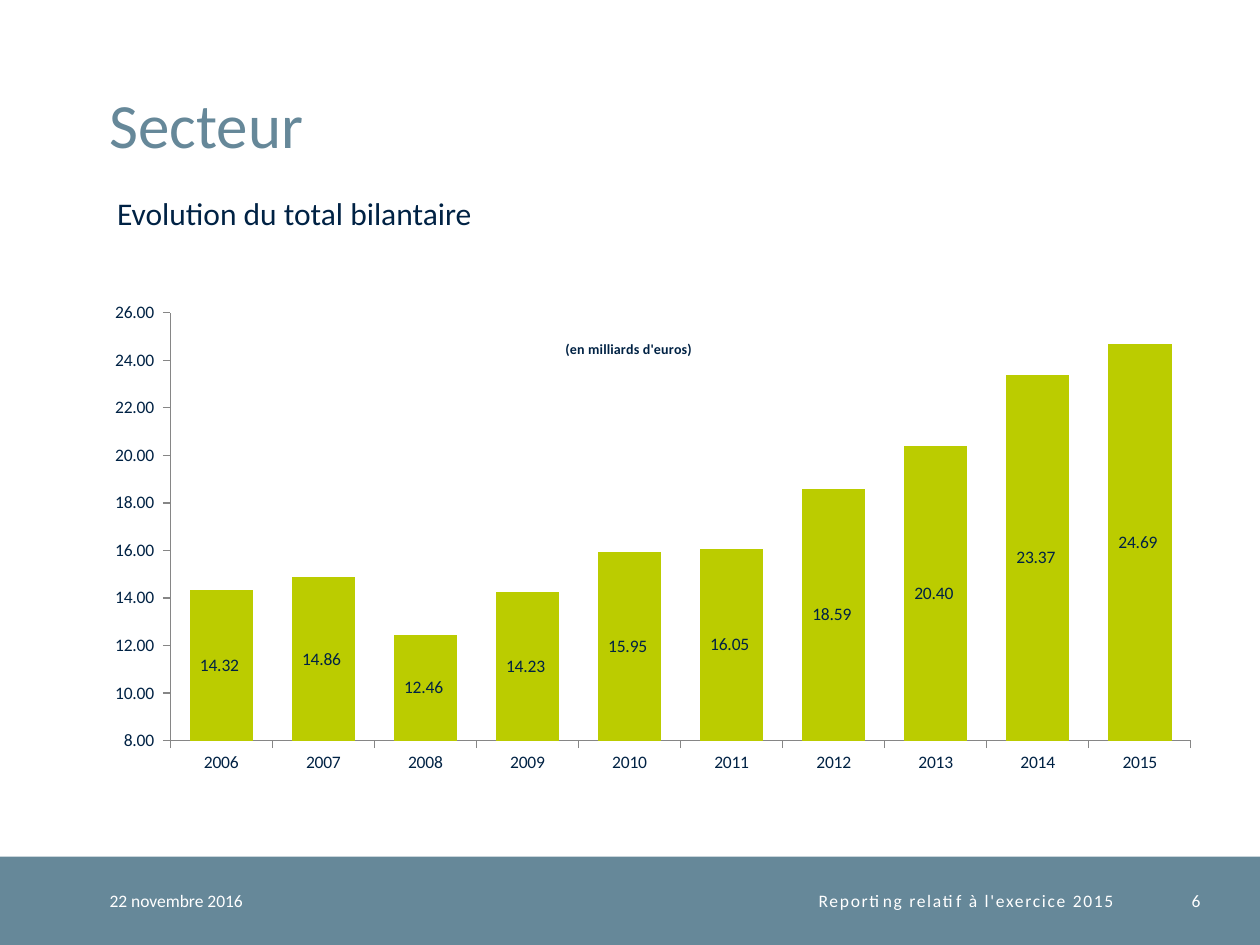
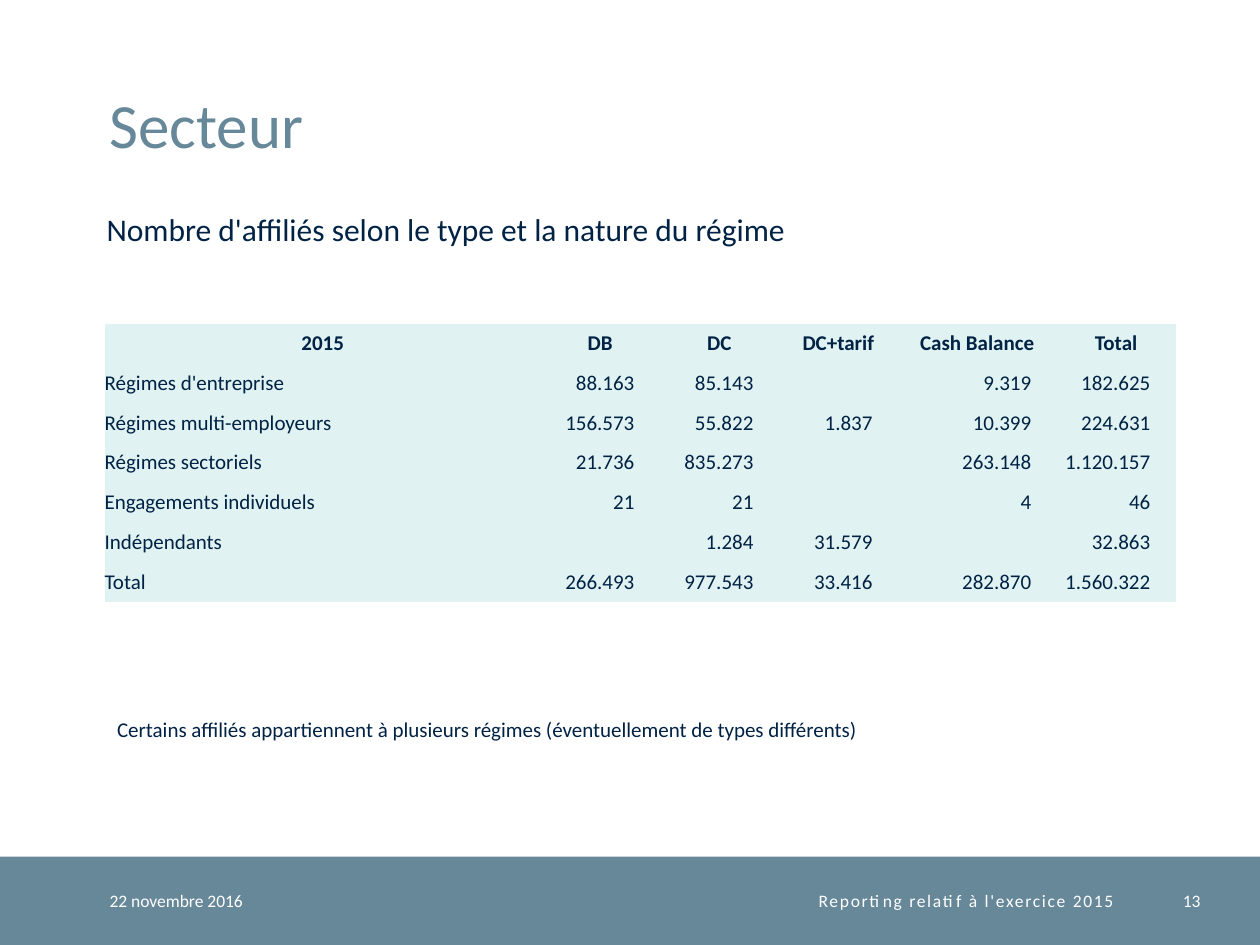
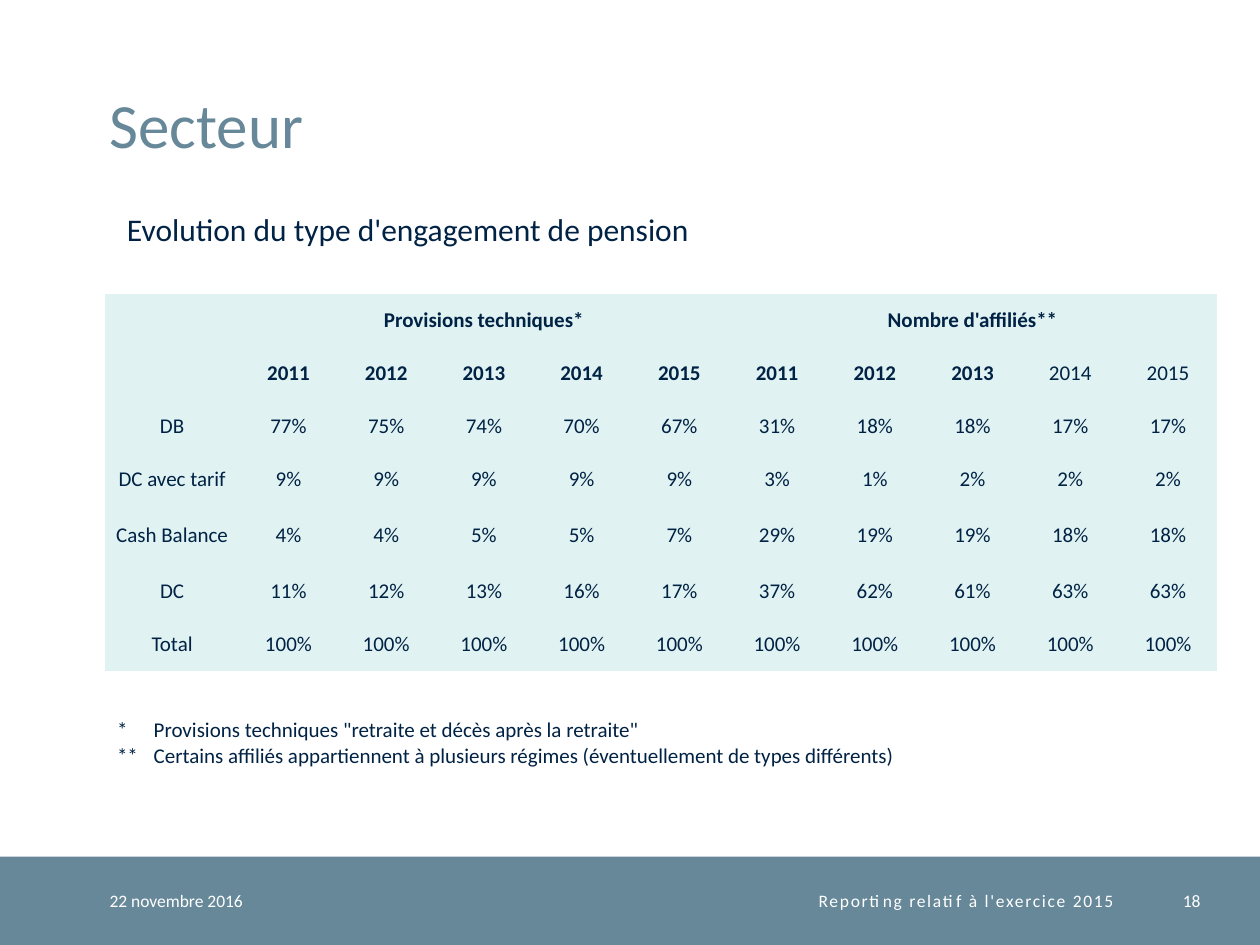
from lxml.etree import SubElement
from pptx import Presentation
from pptx.chart.data import CategoryChartData as ChartData
from pptx.dml.color import RGBColor as Rgb
from pptx.enum.chart import XL_CHART_TYPE as Kind, XL_TICK_MARK as Tick
from pptx.enum.shapes import MSO_SHAPE as Shape
from pptx.enum.text import MSO_ANCHOR as Anchor, PP_ALIGN as Align
from pptx.oxml.ns import qn
from pptx.util import Cm, Pt

FONT = "Calibri"
HUES = {"band": "668899", "ink": "002244", "bar": "BBCC00",
        "cell": "E1F2F2", "axis": "868686", "white": "FFFFFF"}
SIDES = {"l": Align.LEFT, "c": Align.CENTER, "r": Align.RIGHT}
PLAIN = "{2D5ABB26-0587-4C30-8999-92F81FD0307C}"  # table style without lines
WIDE, HIGH = 25.4, 19.05
BAND = (0, 17.27, WIDE, 1.78)
HEAD = (2.21, 0.51, 21.92, 2.74)
NOTE = (2.11, 14.33, 22.2, 0.76)
MANY = "Certains affiliés appartiennent à plusieurs régimes (éventuellement de types différents)"


def hue(name):
    return Rgb.from_string(HUES[name])


def style(font, size, color="ink", bold=False):
    font.name, font.size, font.bold = FONT, Pt(size), bold
    font.color.rgb = hue(color)


# Text
def write(frame, text, size=12, color="ink", bold=False, side="l",
          lead=None, track=0, hang=0):
    """Fill a text frame, one paragraph per line of text."""
    for i, line in enumerate(text.split("\n")):
        par = frame.paragraphs[0] if i == 0 else frame.add_paragraph()
        par.alignment = SIDES[side]
        if lead:
            par.line_spacing = Pt(lead)
        if hang:
            props = par._p.get_or_add_pPr()
            props.set("marL", str(Cm(hang)))
            props.set("indent", str(-Cm(hang)))
        run = par.add_run()
        run.text = line
        style(run.font, size, color, bold)
        if track:
            run._r.get_or_add_rPr().set("spc", str(track * 100))


def label(slide, box, text, pad=True, anchor=Anchor.TOP, **form):
    frame = slide.shapes.add_textbox(*map(Cm, box)).text_frame
    frame.word_wrap = True
    frame.vertical_anchor = anchor
    if not pad:
        frame.margin_left = frame.margin_right = 0
        frame.margin_top = frame.margin_bottom = 0
    write(frame, text, **form)


# Band, footer and title
def footer(slide, box, page):
    x, y, _, h = box
    band = slide.shapes.add_shape(Shape.RECTANGLE, *map(Cm, box))
    band.shadow.inherit = False
    band.fill.solid()
    band.fill.fore_color.rgb = hue("band")
    band.line.fill.background()
    parts = [(2.21, 4.5, "22 novembre 2016", "l", 0),
             (6.71, 15.74, "Reporting relatif à l'exercice 2015", "r", 1),
             (22.96, 1.24, str(page), "r", 0)]
    for left, w, text, side, track in parts:
        label(slide, (x + left, y, w, h), text, pad=False, size=10,
              anchor=Anchor.MIDDLE, color="white", side=side, track=track)


def page(deck, number, sub, left, top):
    slide = deck.slides.add_slide(deck.slide_layouts[6])
    footer(slide, BAND, number)
    label(slide, HEAD, "Secteur", pad=False, anchor=Anchor.BOTTOM,
          size=36, color="band", lead=32)
    label(slide, (left, top, 21.4, 1.02), sub, size=18)
    return slide


# Chart
def layout(node, **spots):
    """Pin a chart part at fractions of the chart area."""
    lay = node.find(qn("c:layout"))
    if lay is None:
        lay = SubElement(node, qn("c:layout"))
        node.insert(0, lay)
    man = SubElement(lay, qn("c:manualLayout"))
    if "w" in spots:
        SubElement(man, qn("c:layoutTarget")).set("val", "inner")
    for key in "xy":
        SubElement(man, qn(f"c:{key}Mode")).set("val", "edge")
    for key, val in spots.items():
        SubElement(man, qn(f"c:{key}")).set("val", str(val))


def bars(slide, box, title, years, vals):
    data = ChartData(number_format="0.00")
    data.categories = years
    data.add_series("Total bilantaire", vals)
    chart = slide.shapes.add_chart(
        Kind.COLUMN_STACKED, *map(Cm, box), data).chart
    style(chart.font, 10)
    chart.has_legend = False
    write(chart.chart_title.text_frame, title, size=8, bold=True, side="c")
    head = chart.chart_title._element
    head.find(qn("c:overlay")).set("val", "1")
    layout(head, x=0.42, y=0.17)
    layout(chart._chartSpace.chart.plotArea, x=0.07, y=0.125, w=0.91, h=0.795)

    plot = chart.plots[0]
    plot.gap_width, plot.overlap, plot.vary_by_categories = 61, 100, False
    fill = plot.series[0].format.fill
    fill.solid()
    fill.fore_color.rgb = hue("bar")
    plot.has_data_labels = True
    tags = plot.data_labels
    tags.show_value = True
    style(tags.font, 10)

    axis = chart.value_axis
    axis.minimum_scale, axis.maximum_scale, axis.major_unit = 8, 26, 2
    axis.has_major_gridlines = False
    for part in (tags, axis.tick_labels):
        part.number_format = "#,##0.00_ "
        part.number_format_is_linked = False
    for each in (axis, chart.category_axis):
        each.major_tick_mark = Tick.OUTSIDE
        each.format.line.color.rgb = hue("axis")
        each.format.line.width = Pt(0.75)


# Tables
def grid(slide, box, cols, rows, cells, form, spans=()):
    """Fill a table; form(row, col) gives side, right inset and weight."""
    x, y = box
    table = slide.shapes.add_table(
        len(rows), len(cols), *map(Cm, (x, y, sum(cols), sum(rows)))).table
    table._tbl.tblPr.find(qn("a:tableStyleId")).text = PLAIN
    for col, w in zip(table.columns, cols):
        col.width = Cm(w)
    for row, h in zip(table.rows, rows):
        row.height = Cm(h)
    for r, line in enumerate(cells):
        for c, text in enumerate(line):
            cell = table.cell(r, c)
            side, inset, bold = form(r, c)
            cell.margin_left = cell.margin_top = cell.margin_bottom = 0
            cell.margin_right = Cm(inset)
            cell.vertical_anchor = Anchor.MIDDLE
            cell.fill.solid()
            cell.fill.fore_color.rgb = hue("cell")
            if text:
                write(cell.text_frame, text, side=side, bold=bold)
    for start, end in spans:
        table.cell(*start).merge(table.cell(*end))


def count(r, c):
    if r == 0:
        return "c", 0, True
    return ("r", 0.51, False) if c else ("l", 0, False)


def share(r, c):
    return "c", 0, r == 0 or (r == 1 and c < 9)


# Slides
def main():
    deck = Presentation()
    deck.slide_width, deck.slide_height = Cm(WIDE), Cm(HIGH)

    slide = page(deck, 6, "Evolution du total bilantaire", 2.11, 3.78)
    bars(slide, (1.85, 4.95, 22.61, 10.85), "(en milliards d'euros)",
         [str(year) for year in range(2006, 2016)],
         [14.32, 14.86, 12.46, 14.23, 15.95, 16.05, 18.59, 20.40, 23.37, 24.69])

    slide = page(deck, 13, "Nombre d'affiliés selon le type et la nature du régime",
                 1.9, 4.11)
    label(slide, NOTE, MANY)
    grid(slide, (2.11, 6.53), [8.79, 2.4, 2.4, 2.4, 3.2, 2.4], [0.8] * 7, [
        ["2015", "DB", "DC", "DC+tarif", "Cash Balance", "Total"],
        ["Régimes d'entreprise", "88.163", "85.143", "", "9.319", "182.625"],
        ["Régimes multi-employeurs", "156.573", "55.822", "1.837", "10.399", "224.631"],
        ["Régimes sectoriels", "21.736", "835.273", "", "263.148", "1.120.157"],
        ["Engagements individuels", "21", "21", "", "4", "46"],
        ["Indépendants", "", "1.284", "31.579", "", "32.863"],
        ["Total", "266.493", "977.543", "33.416", "282.870", "1.560.322"],
    ], count)

    slide = page(deck, 18, "Evolution du type d'engagement de pension", 2.31, 4.11)
    rates = {
        "DB": [77, 75, 74, 70, 67, 31, 18, 18, 17, 17],
        "DC avec tarif": [9, 9, 9, 9, 9, 3, 1, 2, 2, 2],
        "Cash Balance": [4, 4, 5, 5, 7, 29, 19, 19, 18, 18],
        "DC": [11, 12, 13, 16, 17, 37, 62, 61, 63, 63],
        "Total": [100] * 10,
    }
    gap = [""] * 4
    years = [str(year) for year in range(2011, 2016)]
    cells = [["", "Provisions techniques*", *gap, "Nombre d'affiliés**", *gap],
             ["", *years, *years]]
    cells += [[name, *(f"{val}%" for val in vals)] for name, vals in rates.items()]
    grid(slide, (2.11, 5.92), [2.72] + [1.97] * 10,
         [1.07] * 4 + [1.19] + [1.07] * 2, cells, share,
         [((0, 0), (1, 0)), ((0, 1), (0, 5)), ((0, 6), (0, 10))])
    label(slide, NOTE, "*\tProvisions techniques \"retraite et décès après la retraite\"\n"
          f"**\t{MANY}", hang=0.74)

    deck.save("out.pptx")


if __name__ == "__main__":
    main()
